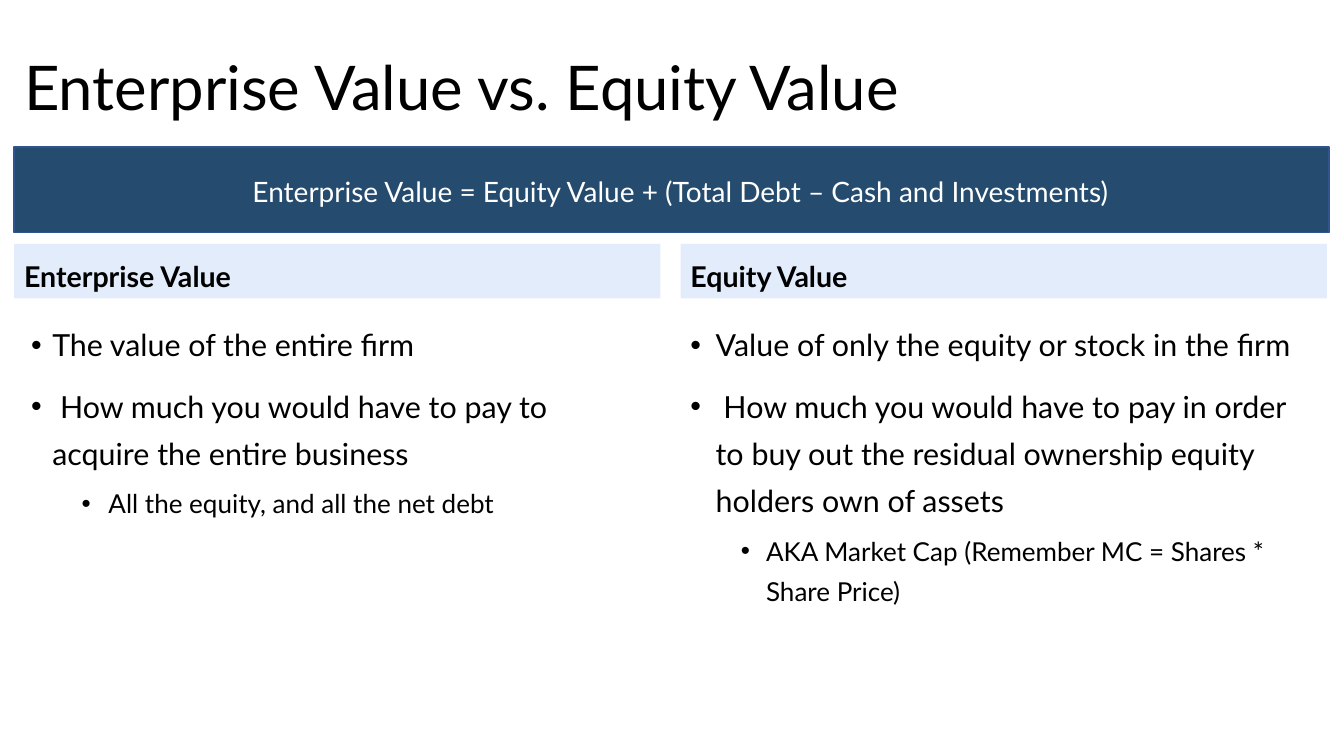
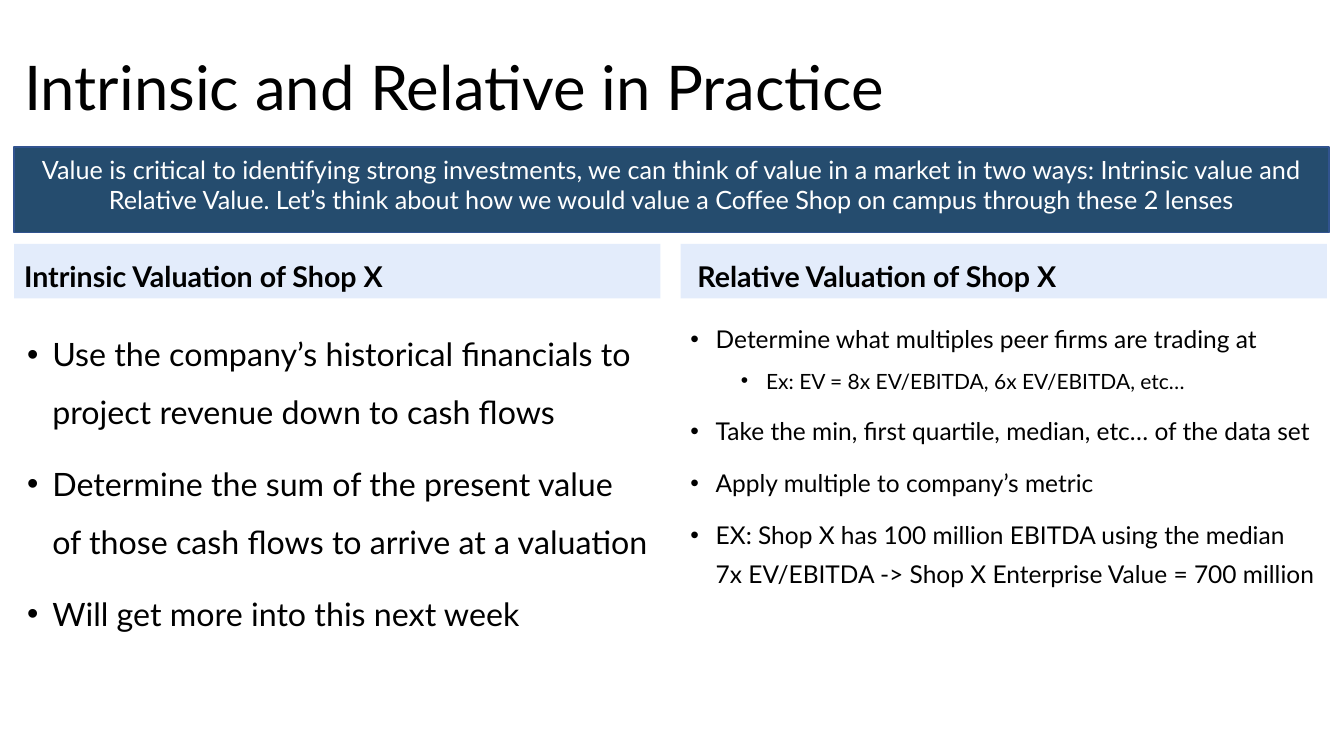
from lxml import etree
from pptx import Presentation
from pptx import util as u
from pptx.dml.color import RGBColor
from pptx.enum import shapes, text
from pptx.oxml import ns

FONT = "Lato"
NAVY = RGBColor(0x25, 0x4C, 0x6E)
NAVY_EDGE = RGBColor(0x31, 0x53, 0x8F)
PALE = RGBColor(0xE3, 0xEC, 0xFB)
BLACK = RGBColor(0, 0, 0)
WHITE = RGBColor(255, 255, 255)

LEFT, WIDTH = 0.14, 13.04
COL_W, COL_STEP = 6.41, 6.61
TITLE_BOX = (LEFT, 0.4, WIDTH, 1)
BAND_BOX = (LEFT, 1.46, WIDTH, 0.85)
COL_TOP, HEAD_H, BODY_GAP, BODY_H = 2.42, 0.54, 0.66, 3.69
TOP, MIDDLE, BOTTOM = (text.MSO_ANCHOR.TOP, text.MSO_ANCHOR.MIDDLE,
                       text.MSO_ANCHOR.BOTTOM)

SLIDES = [
    {
        "title": "Enterprise Value vs. Equity Value",
        "band": ("Enterprise Value = Equity Value + (Total Debt – Cash and Investments)",
                 20, (2.23, 1.68, 9.04, 0.44)),
        "columns": [
            {"head": "Enterprise Value", "sizes": (21.7, 18.6), "spacing": 1.3,
             "hang": 0.21, "inset": 0.03,
             "items": [
                 (0, "The value of the entire firm"),
                 (0, " How much you would have to pay to acquire the entire business"),
                 (1, " All the equity, and all the net debt")]},
            {"head": "Equity Value", "sizes": (21.7, 18.6), "spacing": 1.3,
             "items": [
                 (0, "Value of only the equity or stock in the firm"),
                 (0, " How much you would have to pay in order to buy out the "
                     "residual ownership equity holders own of assets"),
                 (1, "AKA Market Cap (Remember MC = Shares * Share Price)")]},
        ],
    },
    {
        "title": "Intrinsic and Relative in Practice",
        "band": ("Value is critical to identifying strong investments, we can think of "
                 "value in a market in two ways: Intrinsic value and Relative Value. "
                 "Let’s think about how we would value a Coffee Shop on campus "
                 "through these 2 lenses", 18, (LEFT, 1.48, WIDTH, 0.71)),
        "columns": [
            {"head": "Intrinsic Valuation of Shop X", "sizes": (23,), "spacing": 1.5,
             "inset": 0.03,
             "items": [
                 (0, "Use the company’s historical financials to project revenue "
                     "down to cash flows"),
                 (0, "Determine the sum of the present value of those cash flows "
                     "to arrive at a valuation"),
                 (0, "Will get more into this next week")]},
            {"head": " Relative Valuation of Shop X", "sizes": (17.5, 15), "spacing": 1.3,
             "items": [
                 (0, "Determine what multiples peer firms are trading at"),
                 (1, "Ex: EV = 8x EV/EBITDA, 6x EV/EBITDA, etc…"),
                 (0, "Take the min, first quartile, median, etc… of the data set"),
                 (0, "Apply multiple to company’s metric"),
                 (0, "EX: Shop X has 100 million EBITDA using the median "
                     "7x EV/EBITDA -> Shop X Enterprise Value = 700 million")]},
        ],
    },
]


def inches(box):
    return [u.Inches(v) for v in box]


def set_attrs(obj, formats):
    for name, value in formats.items():
        setattr(obj, name, value)


def add_rect(s, box, fill, edge=None):
    sp = s.shapes.add_shape(shapes.MSO_SHAPE.RECTANGLE, *inches(box))
    sp.shadow.inherit = False
    sp.fill.solid()
    sp.fill.fore_color.rgb = fill
    if edge is None:
        sp.line.fill.background()
    else:
        sp.line.color.rgb = edge
        sp.line.width = u.Pt(1)
    return sp


def set_frame(sp, anchor):
    tf = sp.text_frame
    set_attrs(tf, {"word_wrap": True, "vertical_anchor": anchor})
    return tf


def write(p, words, size, color=BLACK, bold=False, align=text.PP_ALIGN.LEFT, spacing=1.0):
    set_attrs(p, {"alignment": align, "line_spacing": spacing})
    r = p.add_run()
    r.text = words
    set_attrs(r.font, {"name": FONT, "size": u.Pt(size), "bold": bold})
    r.font.color.rgb = color


def add_bullet(p, level, hang):
    pPr = p._p.get_or_add_pPr()
    formats = {"marL": 0.25 + 0.5 * level, "indent": -hang}
    for name, value in formats.items():
        pPr.set(name, str(u.Inches(value)))
    etree.SubElement(pPr, ns.qn("a:buFont")).set("typeface", "Arial")
    etree.SubElement(pPr, ns.qn("a:buChar")).set("char", "•")


def add_title(s, box, words):
    tf = set_frame(s.shapes.add_textbox(*inches(box)), MIDDLE)
    write(tf.paragraphs[0], words, 44, spacing=0.9)


def add_band(s, box, words, size, text_box):
    add_rect(s, box, NAVY, NAVY_EDGE)
    tf = set_frame(s.shapes.add_textbox(*inches(text_box)), TOP)
    write(tf.paragraphs[0], words, size, WHITE, align=text.PP_ALIGN.CENTER)


def add_column(s, left, top, width, head, sizes, spacing, items, hang=0.25, inset=0):
    tf = set_frame(add_rect(s, (left, top, width, HEAD_H), PALE), BOTTOM)
    write(tf.paragraphs[0], head, 20.4, bold=True, spacing=1.4)
    body = (left + inset, top + BODY_GAP, width - inset, BODY_H)
    tf = set_frame(s.shapes.add_textbox(*inches(body)), TOP)
    for i, (level, words) in enumerate(items):
        p = tf.add_paragraph() if i else tf.paragraphs[0]
        p.level = level
        p.space_before = u.Pt((10, 5)[level] if i else 0)
        write(p, words, sizes[level], spacing=spacing)
        add_bullet(p, level, hang)


def add_comparison(prs, title, band, columns):
    s = prs.slides.add_slide(prs.slide_layouts[6])
    add_band(s, BAND_BOX, *band)
    for i, column in enumerate(columns):
        add_column(s, LEFT + i * COL_STEP, COL_TOP, COL_W, **column)
    add_title(s, TITLE_BOX, title)


def main():
    prs = Presentation()
    set_attrs(prs, {"slide_width": u.Inches(13.33), "slide_height": u.Inches(7.5)})
    for content in SLIDES:
        add_comparison(prs, **content)
    prs.save("out.pptx")


if __name__ == "__main__":
    main()
